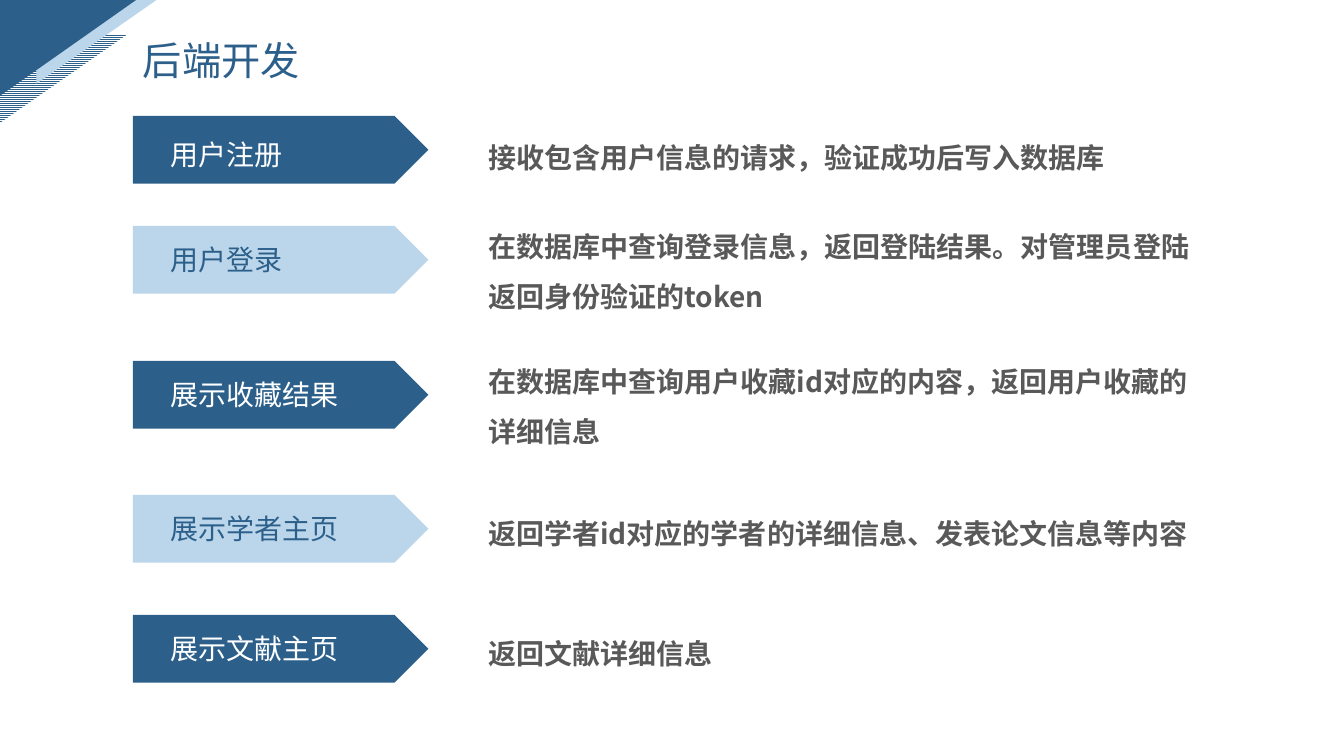
from lxml import etree
from pptx import Presentation
from pptx.dml.color import RGBColor
from pptx.enum.dml import MSO_PATTERN
from pptx.enum.shapes import MSO_SHAPE
from pptx.enum.text import MSO_AUTO_SIZE
from pptx.oxml.ns import qn
from pptx.util import Pt

NAVY = RGBColor(0x2C, 0x60, 0x8B)
SKY = RGBColor(0xBB, 0xD6, 0xEA)
GRAY = RGBColor(0x59, 0x59, 0x59)
WHITE = RGBColor(0xFF, 0xFF, 0xFF)
FONT = "Noto Sans CJK SC"

# Pointer top, label offset, detail offset, detail height, label, detail
ROWS = [
    (82.8, 12.2, 2.2, 38, "用户注册", "接收包含用户信息的请求，验证成功后写入数据库"),
    (161.3, 8, -13, 74, "用户登录",
     "在数据库中查询登录信息，返回登陆结果。对管理员登陆返回身份验证的token"),
    (257.8, 8, -13, 74, "展示收藏结果",
     "在数据库中查询用户收藏id对应的内容，返回用户收藏的详细信息"),
    (353.5, 8, 0, 38, "展示学者主页",
     "返回学者id对应的学者的详细信息、发表论文信息等内容"),
    (439.2, 8.4, 0, 38, "展示文献主页", "返回文献详细信息"),
]


def add_block(slide, kind, left, top, width, height, color):
    sp = slide.shapes.add_shape(kind, Pt(left), Pt(top), Pt(width), Pt(height))
    sp.shadow.inherit = False
    sp.fill.solid()
    sp.fill.fore_color.rgb = color
    sp.line.fill.background()
    return sp


def add_corner(slide, left, top, width, height, color):
    """Add a right triangle turned so that its right angle is at the top left."""
    sp = add_block(slide, MSO_SHAPE.RIGHT_TRIANGLE, left, top, width, height, color)
    sp.rotation = 90
    return sp


def add_text(slide, left, top, width, height, text, color, size=20, bold=False, spacing=1.0):
    box = slide.shapes.add_textbox(Pt(left), Pt(top), Pt(width), Pt(height))
    tf = box.text_frame
    tf.word_wrap = True
    tf.auto_size = MSO_AUTO_SIZE.SHAPE_TO_FIT_TEXT
    p = tf.paragraphs[0]
    p.text = text
    p.line_spacing = spacing
    font = p.font
    font.size = Pt(size)
    font.bold = bold
    font.color.rgb = color
    font.name = FONT
    defaults = p._p.pPr.find(qn("a:defRPr"))
    etree.SubElement(defaults, qn("a:ea"), typeface=FONT)


def add_decoration(slide):
    stripes = add_corner(slide, 13.7, 11.5, 62.6, 90, NAVY)
    stripes.fill.patterned()
    stripes.fill.pattern = MSO_PATTERN.LIGHT_HORIZONTAL
    stripes.fill.fore_color.rgb = NAVY
    stripes.fill.back_color.rgb = WHITE
    add_corner(slide, 39, -13, 59.8, 85.8, SKY)
    add_corner(slide, 14.4, -14.4, 68.4, 97.2, NAVY)


def add_row(slide, top, label_dy, detail_dy, detail_height, label, detail, fill, color):
    add_block(slide, MSO_SHAPE.PENTAGON, 95, top, 211, 48.4, fill)
    add_text(slide, 341.5, top + detail_dy, 533, detail_height, detail, GRAY,
             bold=True, spacing=1.5)
    add_text(slide, 114.5, top + label_dy, 174, 31.5, label, color)


def main():
    prs = Presentation()
    prs.slide_width, prs.slide_height = Pt(960), Pt(540)
    slide = prs.slides.add_slide(prs.slide_layouts[6])
    add_decoration(slide)
    for i, row in enumerate(ROWS):
        fill, color = (SKY, NAVY) if i % 2 else (NAVY, WHITE)
        add_row(slide, *row, fill, color)
    add_text(slide, 95, 22.3, 186.5, 41, "后端开发", NAVY, size=28)
    prs.save("out.pptx")


if __name__ == "__main__":
    main()
